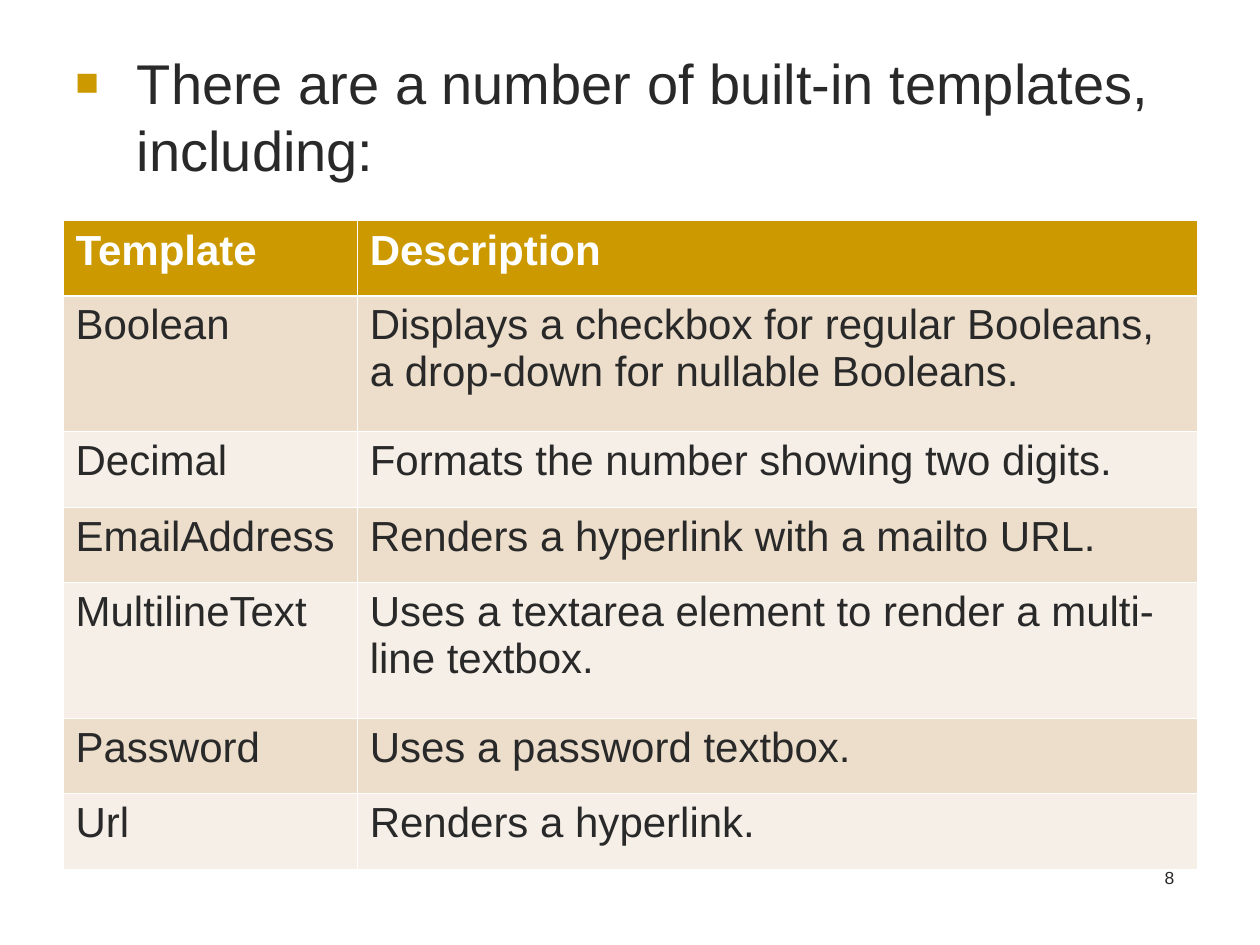
from lxml import etree
from pptx import Presentation
from pptx import util as u
from pptx.dml.color import RGBColor
from pptx.enum import text
from pptx.oxml import ns

COLORS = {
    "ink": "292929",
    "gold": "CC9900",
    "sand": "ECDECB",
    "cream": "F6EFE7",
    "white": "FFFFFF",
}
FONT = "Arial"
COL_WIDTHS = [5.93, 16.93]
ROW_HEIGHTS = [1.51, 2.74, 1.52, 1.52, 2.74, 1.52, 1.52]
ROWS = [
    ("Template", "Description"),
    ("Boolean", "Displays a checkbox for regular Booleans, a drop-down for nullable Booleans."),
    ("Decimal", "Formats the number showing two digits."),
    ("EmailAddress", "Renders a hyperlink with a mailto URL."),
    ("MultilineText", "Uses a textarea element to render a multi-line textbox."),
    ("Password", "Uses a password textbox."),
    ("Url", "Renders a hyperlink."),
]


def rgb(name):
    return RGBColor.from_string(COLORS[name])


def format_runs(p, size, color="ink", bold=False):
    for r in p.runs:
        r.font.name = FONT
        r.font.size = u.Pt(size)
        r.font.bold = bold
        r.font.color.rgb = rgb(color)


def add_text(s, content, left, top, width, height, size):
    sp = s.shapes.add_textbox(u.Cm(left), u.Cm(top), u.Cm(width), u.Cm(height))
    tf = sp.text_frame
    tf.word_wrap = True
    tf.text = content
    p = tf.paragraphs[0]
    format_runs(p, size)
    return p


def add_bullet(p, char, color, percent, indent):
    pPr = p._p.get_or_add_pPr()
    pPr.set("marL", str(u.Cm(indent)))
    pPr.set("indent", str(-u.Cm(indent)))
    clr = etree.SubElement(pPr, ns.qn("a:buClr"))
    etree.SubElement(clr, ns.qn("a:srgbClr"), val=COLORS[color])
    etree.SubElement(pPr, ns.qn("a:buSzPct"), val=str(percent * 1000))
    etree.SubElement(pPr, ns.qn("a:buFont"), typeface=FONT)
    etree.SubElement(pPr, ns.qn("a:buChar"), char=char)


def set_borders(cell, **widths):
    tcPr = cell._tc.get_or_add_tcPr()
    for i, (side, width) in enumerate(widths.items()):
        ln = etree.Element(ns.qn(f"a:ln{side}"), w=str(u.Pt(width)))
        fill = etree.SubElement(ln, ns.qn("a:solidFill"))
        etree.SubElement(fill, ns.qn("a:srgbClr"), val=COLORS["white"])
        tcPr.insert(i, ln)


def fill_cell(cell, content, row):
    header = row == 0
    cell.text = content
    format_runs(cell.text_frame.paragraphs[0], 24, "white" if header else "ink", header)
    cell.fill.solid()
    cell.fill.fore_color.rgb = rgb("gold" if header else "sand" if row % 2 else "cream")
    set_borders(cell, L=0.45, R=0.45, T=1.47 if row == 1 else 0.45, B=1.47 if header else 0.45)


def add_template_table(s, left, top):
    frame = s.shapes.add_table(
        len(ROWS), len(COL_WIDTHS), u.Cm(left), u.Cm(top),
        u.Cm(sum(COL_WIDTHS)), u.Cm(sum(ROW_HEIGHTS)))
    table = frame.table
    for column, width in zip(table.columns, COL_WIDTHS):
        column.width = u.Cm(width)
    for i, (height, values) in enumerate(zip(ROW_HEIGHTS, ROWS)):
        table.rows[i].height = u.Cm(height)
        for j, value in enumerate(values):
            fill_cell(table.cell(i, j), value, i)


def main():
    prs = Presentation()
    prs.slide_width, prs.slide_height = u.Cm(25.4), u.Cm(19.05)
    s = prs.slides.add_slide(prs.slide_layouts[6])
    p = add_text(s, "There are a number of built-in templates, including:",
                 1.27, 0.85, 22.66, 3.18, 32)
    p.space_before = u.Pt(8)
    add_bullet(p, "■", "gold", 70, 1.24)
    p = add_text(s, "8", 18.63, 17.36, 5.29, 1.27, 10)
    p.alignment = text.PP_ALIGN.RIGHT
    add_template_table(s, 1.27, 4.45)
    prs.save("out.pptx")


if __name__ == "__main__":
    main()
